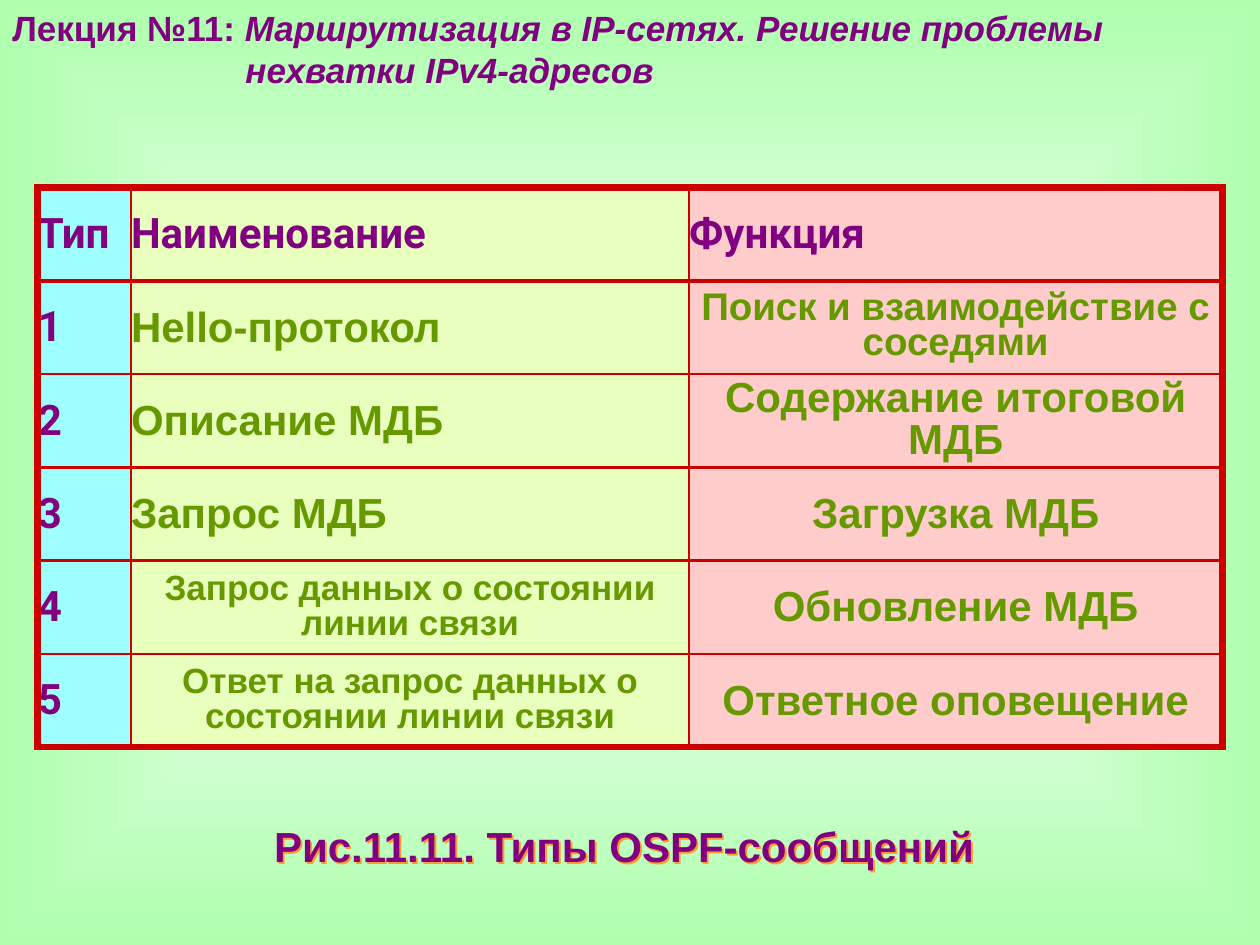
from dataclasses import dataclass

from lxml import etree
from pptx import Presentation
from pptx.dml.color import RGBColor
from pptx.enum import text as txt
from pptx.oxml import ns
from pptx.util import Inches, Pt


@dataclass(frozen=True)
class Theme:
    purple: str = "800080"
    green: str = "669900"
    border: str = "CC0000"
    shadow: str = "FF9933"
    center: str = "FFFFFF"
    edge: str = "AFFFAF"
    columns: tuple = ("9FFFFF", "E9FFBD", "FFCCCC")
    body: str = "Arial"
    heading: str = "Roboto"
    large: int = 24
    medium: int = 22
    small: int = 20
    thick: float = 4.5
    middle: float = 3
    thin: float = 1.5


THEME = Theme()


@dataclass(frozen=True)
class Entry:
    words: str
    font: str = THEME.body
    color: str = THEME.green
    size: int = THEME.large
    centered: bool = False
    spacing: float = 1.0


def label(words: str) -> Entry:
    return Entry(words, THEME.heading, THEME.purple)


def centered(words: str, size: int = THEME.large, spacing: float = 1.0) -> Entry:
    return Entry(words, size=size, centered=True, spacing=spacing)


MESSAGES = [
    [label("Тип"), label("Наименование"), label("Функция")],
    [label("1"), Entry("Hello-протокол"),
     centered("Поиск и взаимодействие с соседями", THEME.medium, 0.8)],
    [label("2"), Entry("Описание МДБ"),
     centered("Содержание итоговой МДБ", spacing=0.9)],
    [label("3"), Entry("Запрос МДБ"), centered("Загрузка МДБ")],
    [label("4"), centered("Запрос данных о состоянии линии связи", THEME.small, 0.9),
     centered("Обновление МДБ")],
    [label("5"), centered("Ответ на запрос данных о состоянии линии связи", THEME.small, 0.9),
     centered("Ответное оповещение")],
]
COLUMN_WIDTHS = (0.74, 4.43, 4.23)
ROW_HEIGHT = 0.74


def write(paragraph, words: str, *, size: int, color: str = THEME.purple,
          font: str = THEME.body, italic: bool = False, align=None,
          spacing: float = 1.0) -> None:
    """Add one bold run and format its paragraph."""
    if align is not None:
        paragraph.alignment = align
    if spacing != 1.0:
        paragraph.line_spacing = spacing
    run = paragraph.add_run()
    run.text = words
    run.font.name = font
    run.font.size = Pt(size)
    run.font.bold = True
    run.font.italic = italic
    run.font.color.rgb = RGBColor.from_string(color)


def add_box(slide, left: float, top: float, width: float, height: float):
    box = slide.shapes.add_textbox(Inches(left), Inches(top), Inches(width), Inches(height))
    box.text_frame.word_wrap = True
    return box


def set_background(slide) -> None:
    fill = slide.background.fill
    fill.gradient()
    for stop, color in zip(fill.gradient_stops, (THEME.center, THEME.edge)):
        stop.color.rgb = RGBColor.from_string(color)
    gradient = slide.element.find(".//" + ns.qn("a:gradFill"))
    gradient.remove(gradient.find(ns.qn("a:lin")))
    shape_path = etree.SubElement(gradient, ns.qn("a:path"), path="shape")
    etree.SubElement(shape_path, ns.qn("a:fillToRect"),
                     {side: "50000" for side in "ltrb"})


def set_borders(cell, widths: dict) -> None:
    properties = cell._tc.get_or_add_tcPr()
    for index, side in enumerate("LRTB"):
        line = etree.Element(ns.qn(f"a:ln{side}"), w=str(Pt(widths[side])))
        solid = etree.SubElement(line, ns.qn("a:solidFill"))
        etree.SubElement(solid, ns.qn("a:srgbClr"), val=THEME.border)
        properties.insert(index, line)


def add_text_shadow(box) -> None:
    effects = etree.SubElement(box._element.spPr, ns.qn("a:effectLst"))
    shadow = etree.SubElement(effects, ns.qn("a:outerShdw"),
                              dist=str(Pt(1.6)), dir="2700000", algn="ctr")
    etree.SubElement(shadow, ns.qn("a:srgbClr"), val=THEME.shadow)


def add_message_table(slide) -> None:
    last_row, last_column = len(MESSAGES) - 1, len(COLUMN_WIDTHS) - 1
    table = slide.shapes.add_table(
        len(MESSAGES), len(COLUMN_WIDTHS), Inches(0.3), Inches(1.49),
        Inches(sum(COLUMN_WIDTHS)), Inches(ROW_HEIGHT * len(MESSAGES))).table
    table.first_row = table.horz_banding = False
    for column, width in zip(table.columns, COLUMN_WIDTHS):
        column.width = Inches(width)

    # Horizontal rules from top to bottom: frame, header rule, inner rules, frame
    rules = [THEME.thick, THEME.middle] + [THEME.thin] * (last_row - 1) + [THEME.thick]
    for r, entries in enumerate(MESSAGES):
        table.rows[r].height = Inches(ROW_HEIGHT)
        for c, entry in enumerate(entries):
            cell = table.cell(r, c)
            cell.margin_left = cell.margin_right = cell.margin_top = cell.margin_bottom = 0
            cell.vertical_anchor = txt.MSO_ANCHOR.MIDDLE
            cell.fill.solid()
            cell.fill.fore_color.rgb = RGBColor.from_string(THEME.columns[c])
            set_borders(cell, {
                "L": THEME.thick if c == 0 else THEME.thin,
                "R": THEME.thick if c == last_column else THEME.thin,
                "T": rules[r], "B": rules[r + 1]})
            write(cell.text_frame.paragraphs[0], entry.words, size=entry.size,
                  color=entry.color, font=entry.font, spacing=entry.spacing,
                  align=txt.PP_ALIGN.CENTER if entry.centered else None)


def main() -> None:
    deck = Presentation()
    deck.slide_width, deck.slide_height = Inches(10), Inches(7.5)
    slide = deck.slides.add_slide(deck.slide_layouts[6])
    set_background(slide)

    # Lecture title, second line indented under the topic
    title = add_box(slide, 0, 0, 9.03, 0.77).text_frame
    lecture = title.paragraphs[0]
    write(lecture, "Лекция №11: ", size=THEME.small)
    write(lecture, "Маршрутизация в IP-сетях. Решение проблемы",
          size=THEME.small, italic=True)
    topic_end = title.add_paragraph()
    topic_end._p.get_or_add_pPr().set("marL", str(Inches(1.85)))
    write(topic_end, "нехватки IPv4-адресов", size=THEME.small, italic=True)

    add_message_table(slide)

    # Figure caption
    caption = add_box(slide, 0, 6.46, 10, 0.5)
    write(caption.text_frame.paragraphs[0], "Рис.11.11. Типы OSPF-сообщений ",
          size=THEME.large, align=txt.PP_ALIGN.CENTER)
    add_text_shadow(caption)

    deck.save("out.pptx")


if __name__ == "__main__":
    main()
